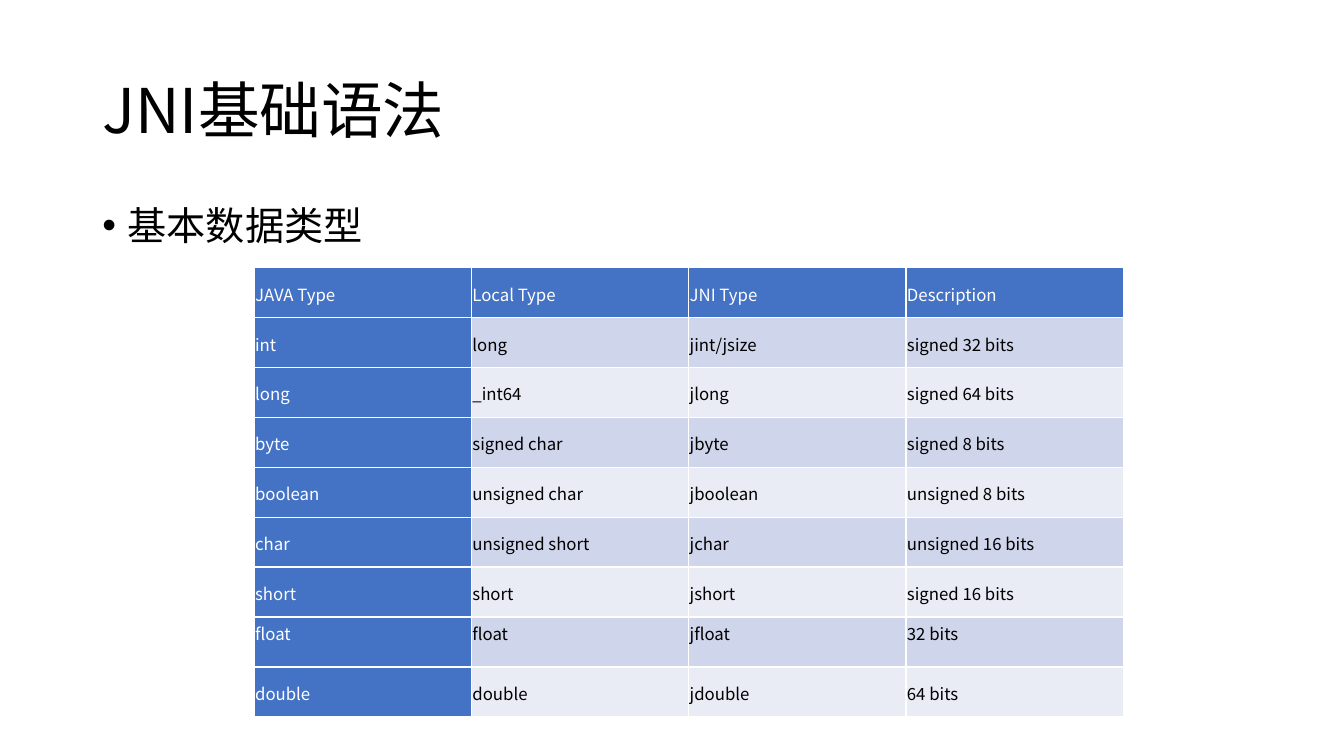
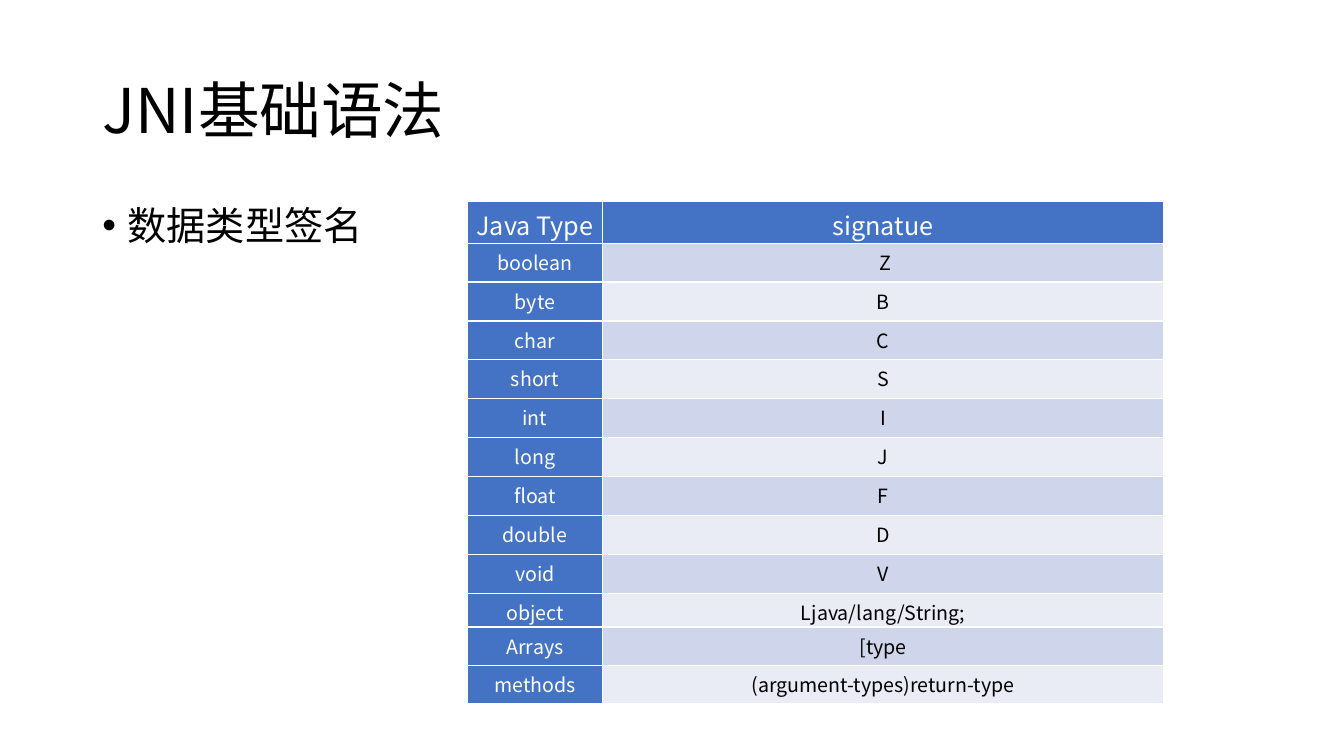
import pptx
import pptx.dml.color
import pptx.enum.text
import pptx.oxml
import pptx.oxml.ns
import pptx.util
from lxml import etree

Pt = pptx.util.Pt
ALIGN = pptx.enum.text.PP_ALIGN
ANCHOR = pptx.enum.text.MSO_ANCHOR
qn = pptx.oxml.ns.qn

FONT = "Noto Sans CJK SC"
COLORS = {
    "text": "000000",
    "inverse": "FFFFFF",
    "border": "FFFFFF",
    "header": "4472C4",
    "odd_row": "CFD5EA",
    "even_row": "E9EBF5",
}
SECTION_TITLE = "JNI基础语法"


class Deck:
    """Holds the shared style and the current slide."""

    def __init__(self):
        self.presentation = pptx.Presentation()
        self.presentation.slide_width = Pt(960)
        self.presentation.slide_height = Pt(540)
        self.slide = None

    def color(self, name):
        return pptx.dml.color.RGBColor.from_string(COLORS[name])

    def style(self, paragraph, size, color, align, spacing):
        paragraph.alignment = align
        paragraph.line_spacing = spacing
        font = paragraph.font
        font.size = Pt(size)
        font.name = FONT
        font.color.rgb = self.color(color)
        # East Asian text needs its own typeface entry
        defaults = paragraph._p.pPr.find(qn("a:defRPr"))
        latin = defaults.find(qn("a:latin"))
        east_asian = etree.Element(qn("a:ea"), typeface=FONT)
        latin.addnext(east_asian)

    def place(self, placeholder, left, top, width, height):
        placeholder.left, placeholder.top = Pt(left), Pt(top)
        placeholder.width, placeholder.height = Pt(width), Pt(height)

    def add_slide(self, topic):
        layout = self.presentation.slide_layouts[1]
        self.slide = self.presentation.slides.add_slide(layout)
        self.title(SECTION_TITLE)
        self.bullet(topic)

    def title(self, text):
        heading = self.slide.shapes.title
        self.place(heading, 66, 28.75, 828, 104.4)
        heading.text_frame.text = text
        heading.text_frame.vertical_anchor = ANCHOR.MIDDLE
        self.style(heading.text_frame.paragraphs[0], 44, "text", ALIGN.LEFT, 0.9)

    def bullet(self, text):
        body = self.slide.placeholders[1]
        self.place(body, 66, 143.75, 828, 342.6)
        body.text_frame.text = text
        topic = body.text_frame.paragraphs[0]
        self.style(topic, 28, "text", ALIGN.LEFT, 0.9)
        topic.space_before = Pt(10)
        properties = topic._p.pPr
        properties.set("marL", str(Pt(18)))
        properties.set("indent", str(-Pt(18)))

    def borders(self, cell):
        properties = cell._tc.get_or_add_tcPr()
        for side in ("lnL", "lnR", "lnT", "lnB"):
            line = etree.SubElement(properties, qn("a:" + side), w=str(Pt(1)))
            fill = etree.SubElement(line, qn("a:solidFill"))
            etree.SubElement(fill, qn("a:srgbClr"), val=COLORS["border"])

    def table(self, rows, left, top, widths, heights, header_size, body_size,
              align, spacing, inset, anchors):
        frame = self.slide.shapes.add_table(
            len(rows), len(widths), Pt(left), Pt(top),
            Pt(sum(widths)), Pt(sum(heights)))
        grid = frame.table
        grid.first_row = grid.horz_banding = False
        for column, width in zip(grid.columns, widths):
            column.width = Pt(width)
        for r, (values, height, anchor) in enumerate(zip(rows, heights, anchors)):
            grid.rows[r].height = Pt(height)
            band = "odd_row" if r % 2 else "even_row"
            size = body_size if r else header_size
            for c, value in enumerate(values):
                cell = grid.cell(r, c)
                is_header = r == 0 or c == 0
                self.borders(cell)
                cell.fill.solid()
                cell.fill.fore_color.rgb = self.color("header" if is_header else band)
                cell.margin_left = cell.margin_right = Pt(inset)
                cell.margin_top = cell.margin_bottom = Pt(inset)
                cell.vertical_anchor = anchor
                label = cell.text_frame.paragraphs[0]
                label.text = value
                self.style(label, size, "inverse" if is_header else "text",
                           align, spacing)


def main():
    deck = Deck()

    # Basic data types
    deck.add_slide("基本数据类型")
    basic_types = [
        ("JAVA Type", "Local Type", "JNI Type", "Description"),
        ("int", "long", "jint/jsize", "signed 32 bits"),
        ("long", "_int64", "jlong", "signed 64 bits"),
        ("byte", "signed char", "jbyte", "signed 8 bits"),
        ("boolean", "unsigned char", "jboolean", "unsigned 8 bits"),
        ("char", "unsigned short", "jchar", "unsigned 16 bits"),
        ("short", "short", "jshort", "signed 16 bits"),
        ("float", "float", "jfloat", "32 bits"),
        ("double", "double", "jdouble", "64 bits"),
    ]
    deck.table(
        basic_types, left=181.5, top=191.3, widths=[155.2] * 4,
        heights=[35.3] + [35.7] * 8, header_size=12, body_size=12,
        align=ALIGN.LEFT, spacing=Pt(19.5), inset=0.75,
        anchors=[ANCHOR.TOP if row[0] == "float" else ANCHOR.MIDDLE
                 for row in basic_types])

    # Type signatures
    deck.add_slide("数据类型签名")
    signatures = [
        ("Java Type", "signatue"),
        ("boolean", " Z"),
        ("byte", "B"),
        ("char", "C"),
        ("short", "S"),
        ("int", "I"),
        ("long", "J"),
        ("float", "F"),
        ("double", "D"),
        ("void", "V"),
        ("object", "Ljava/lang/String;"),
        ("Arrays", "[type"),
        ("methods", "(argument-types)return-type"),
    ]
    deck.table(
        signatures, left=333.7, top=143.75, widths=[96.9, 400.5],
        heights=[27.4] + [27.8] * 9 + [24.2] + [27.3] * 2,
        header_size=18, body_size=14, align=ALIGN.CENTER, spacing=1.15,
        inset=0, anchors=[ANCHOR.TOP] * len(signatures))

    deck.presentation.save("out.pptx")


if __name__ == "__main__":
    main()
